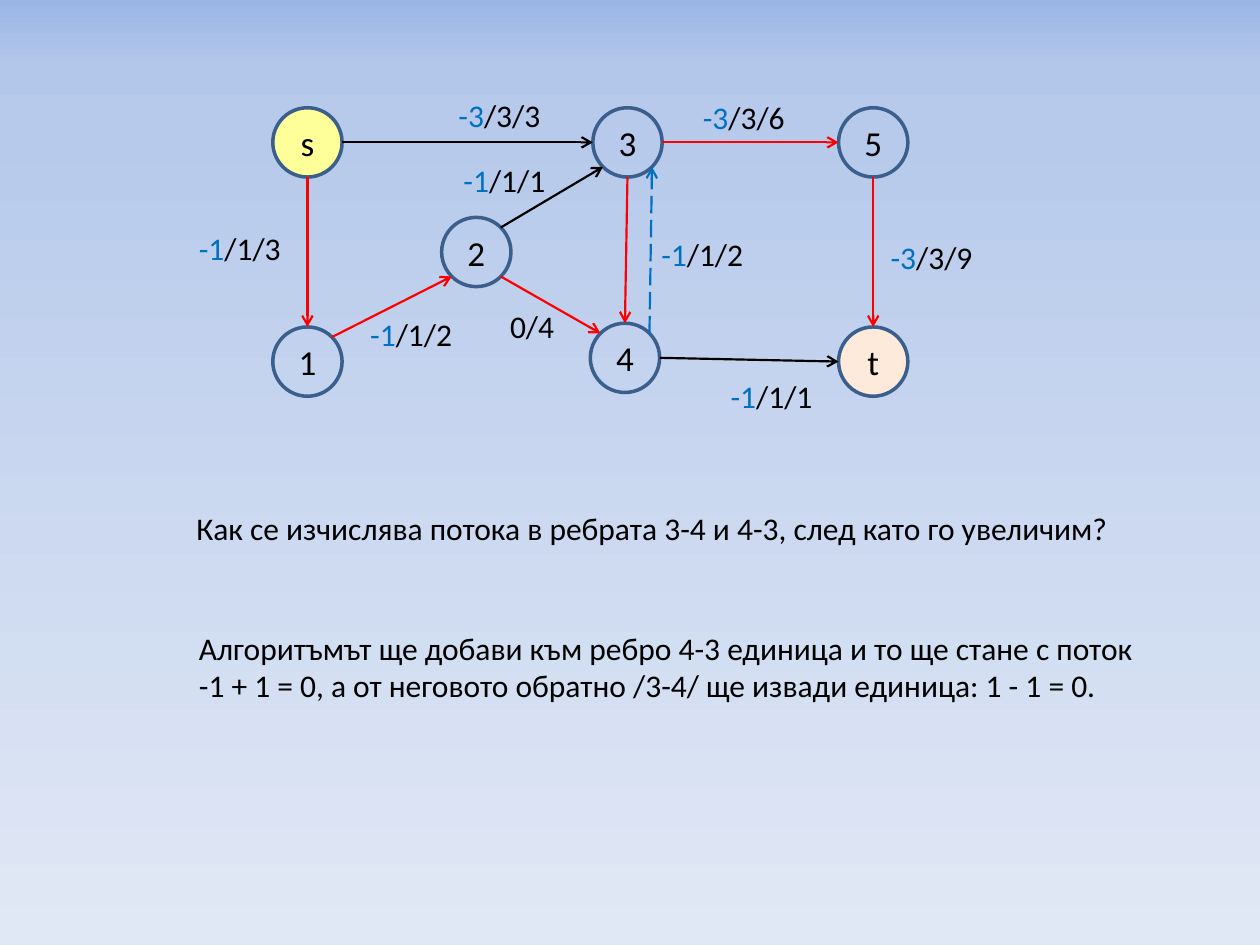
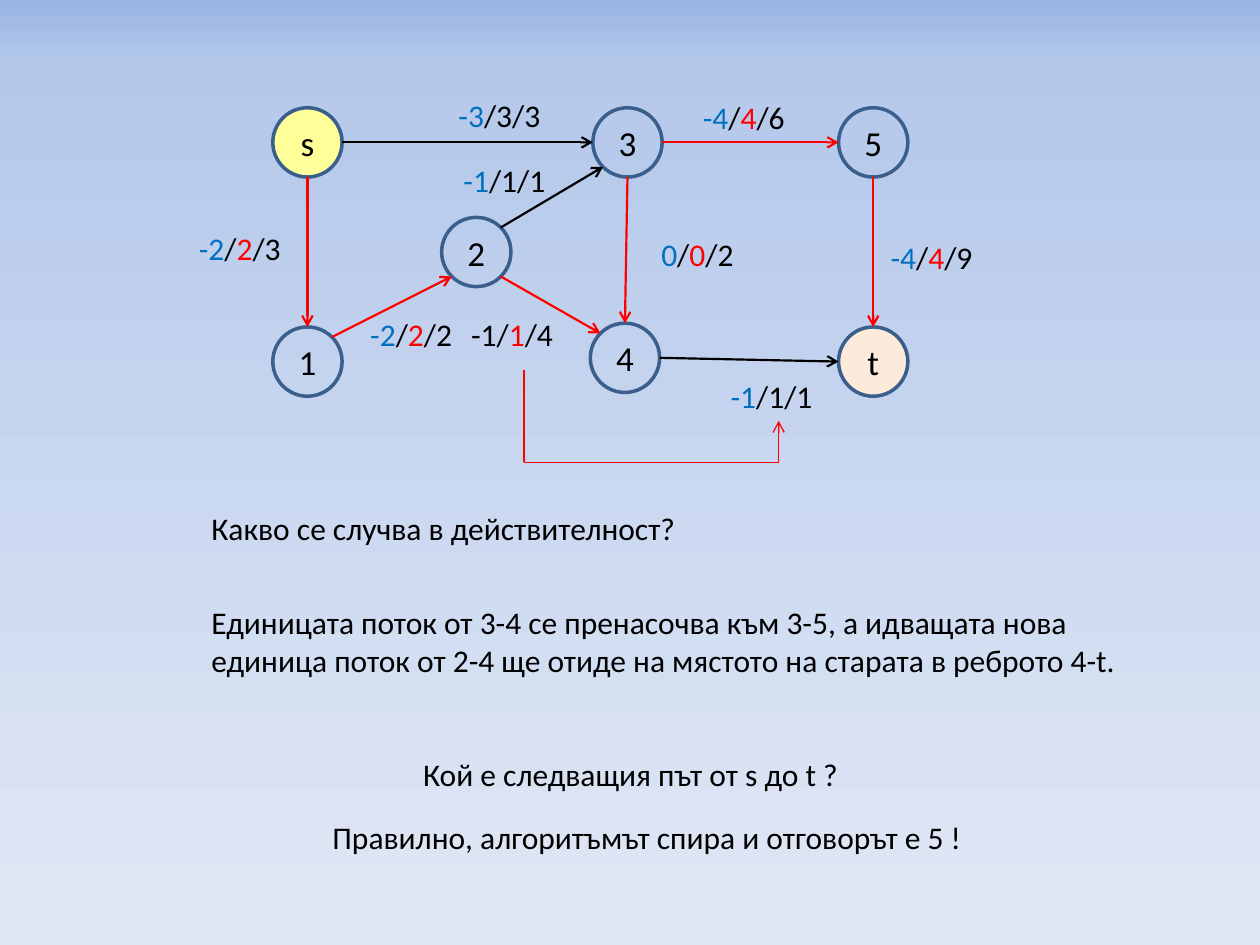
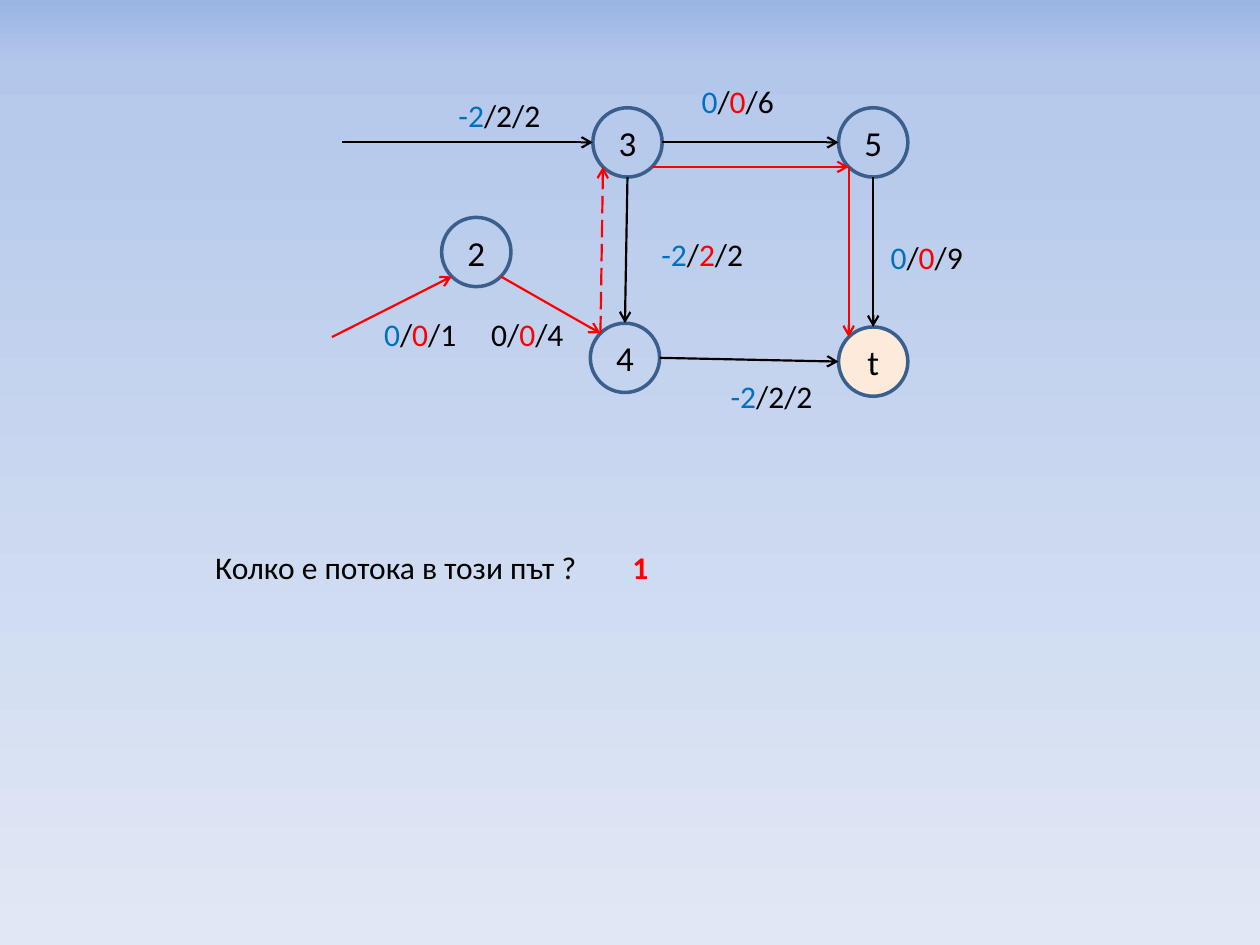
from dataclasses import dataclass
from itertools import pairwise
from math import sqrt

from lxml import etree
from pptx import Presentation
from pptx.dml.color import RGBColor
from pptx.enum.dml import MSO_LINE
from pptx.enum.shapes import MSO_CONNECTOR, MSO_SHAPE
from pptx.enum.text import MSO_ANCHOR, MSO_AUTO_SIZE, PP_ALIGN
from pptx.oxml.ns import qn
from pptx.util import Inches, Pt

STRAIGHT = MSO_CONNECTOR.STRAIGHT
ELLIPSE = MSO_SHAPE.OVAL
LONG_DASH = MSO_LINE.LONG_DASH
MIDDLE = MSO_ANCHOR.MIDDLE
CENTER = PP_ALIGN.CENTER
GROW = MSO_AUTO_SIZE.SHAPE_TO_FIT_TEXT
BLANK_LAYOUT = 6


@dataclass(frozen=True)
class Theme:
    font: str = "Calibri"
    node_size: int = 20
    text_size: int = 18
    ink: str = "000000"
    blue: str = "0070C0"
    red: str = "FF0000"
    ring: str = "3A5F8C"
    source: str = "FFFF99"
    sink: str = "FDEADA"
    ring_width: float = 2
    edge_width: float = 1.25
    thin_width: float = 0.75
    backdrop: tuple = ((0, "9AB5E4"), (7, "B3C7EA"), (13, "B7CAEB"), (100, "E1E8F5"))


THEME = Theme()

# Graph grid: columns and equally spaced rows of node centres
RADIUS = 0.275
DIAGONAL = RADIUS / sqrt(2)
COLUMNS = (2.44, 3.78, 4.97, 6.93)
TOP, MID, LOW = (1.13 + 0.87 * row for row in range(3))
NODES = {
    "s": (COLUMNS[0], TOP),
    "3": (COLUMNS[2] + 0.01, TOP),
    "1": (COLUMNS[0], LOW),
    "4": (COLUMNS[2] - 0.01, LOW - 0.03),
    "5": (COLUMNS[3], TOP),
    "t": (COLUMNS[3], LOW),
    "2": (COLUMNS[1], MID),
}
NODE_FILLS = {"s": THEME.source, "t": THEME.sink}
PORTS = {
    "N": (0, -RADIUS), "S": (0, RADIUS), "E": (RADIUS, 0), "W": (-RADIUS, 0),
    "NE": (DIAGONAL, -DIAGONAL), "NW": (-DIAGONAL, -DIAGONAL),
    "SE": (DIAGONAL, DIAGONAL), "SW": (-DIAGONAL, DIAGONAL),
}

# Side where each edge leaves and side where it arrives
EDGES = {
    "s3": ("E", "W"), "35": ("E", "W"), "5t": ("S", "N"),
    "23": ("NE", "SW"), "s1": ("S", "N"), "12": ("NE", "SW"),
    "24": ("SE", "NW"), "34": ("S", "N"), "4t": ("E", "W"),
}
AUGMENTING = ("s1", "12", "24", "34", "35", "5t")

# Left, top and width of the label of each edge
LABEL_SPOTS = {
    "s3": (3.54, 0.71, 1.08), "35": (5.48, 0.73, 1.03), "5t": (6.97, 1.84, 1.73),
    "34": (5.15, 1.82, 0.93), "4t": (5.7, 2.94, 0.95), "12": (2.84, 2.45, 1.06),
    "s1": (1.48, 1.77, 1.26), "23": (3.58, 1.23, 1.04), "24": (3.64, 2.45, 1.04),
}
LINE_HEIGHT = 0.4
TWO_LINES = 0.71


def color(value):
    return RGBColor.from_string(value)


def add_run(para, text, size, ink=THEME.ink, bold=False):
    span = para.add_run()
    span.text = text
    span.font.name = THEME.font
    span.font.size = Pt(size)
    span.font.color.rgb = color(ink)
    if bold:
        span.font.bold = True


def add_text(canvas, spot, runs, height=LINE_HEIGHT, wrap=True):
    """Text box at (left, top, width); each run is (text, colour[, bold])."""
    left, top, width = map(Inches, spot)
    frame = canvas.add_textbox(left, top, width, Inches(height)).text_frame
    frame.word_wrap = wrap
    frame.auto_size = GROW
    for text, *style in runs:
        add_run(frame.paragraphs[0], text, THEME.text_size, *style)


def add_node(canvas, name):
    x, y = NODES[name]
    side = Inches(2 * RADIUS)
    node = canvas.add_shape(ELLIPSE, Inches(x - RADIUS), Inches(y - RADIUS), side, side)
    node.shadow.inherit = False
    if name in NODE_FILLS:
        node.fill.solid()
        node.fill.fore_color.rgb = color(NODE_FILLS[name])
    else:
        node.fill.background()
    node.line.color.rgb = color(THEME.ring)
    node.line.width = Pt(THEME.ring_width)
    node.text_frame.vertical_anchor = MIDDLE
    para = node.text_frame.paragraphs[0]
    para.alignment = CENTER
    add_run(para, name, THEME.node_size)


def add_line(canvas, start, end, ink, width=THEME.edge_width, dashed=False, arrow=True):
    line = canvas.add_connector(STRAIGHT, *map(Inches, (*start, *end)))
    line.line.color.rgb = color(ink)
    line.line.width = Pt(width)
    if dashed:
        line.line.dash_style = LONG_DASH
    properties = line._element.spPr
    if arrow:
        etree.SubElement(properties.find(qn("a:ln")), qn("a:tailEnd"), type="arrow")
    etree.SubElement(properties, qn("a:effectLst"))


def port(name, side):
    return tuple(centre + shift for centre, shift in zip(NODES[name], PORTS[side]))


def add_edge(canvas, edge, ink, sides=None, dashed=False):
    leave, arrive = sides or EDGES[edge]
    add_line(canvas, port(edge[0], leave), port(edge[1], arrive), ink, dashed=dashed)


def add_graph(canvas, nodes, edges, red_edges):
    for name in nodes:
        add_node(canvas, name)
    for edge in edges:
        add_edge(canvas, edge, THEME.red if edge in red_edges else THEME.ink)


def add_labels(canvas, labels, changed=(), spots=None):
    """Labels read back flow/flow/capacity; a changed flow is red."""
    spots = LABEL_SPOTS | (spots or {})
    for edge, label in labels.items():
        back, flow, capacity = label.split("/")
        first = THEME.ink if edge == "24" else THEME.blue
        if edge in changed:
            runs = [(back, first), ("/",), (flow, THEME.red), ("/" + capacity,)]
        else:
            runs = [(back, first), (f"/{flow}/{capacity}",)]
        add_text(canvas, spots[edge], runs)


def paint_backdrop(master):
    fill = master.background.fill
    fill.gradient()
    fill.gradient_angle = 270
    stops = master._element.find(".//" + qn("a:gsLst"))
    for stop in list(stops):
        stops.remove(stop)
    for share, value in THEME.backdrop:
        stop = etree.SubElement(stops, qn("a:gs"), pos=str(share * 1000))
        etree.SubElement(stop, qn("a:srgbClr"), val=value)


def build_reverse_edge(page):
    canvas = page.shapes
    add_graph(canvas, NODES, EDGES, AUGMENTING)
    add_labels(canvas, {
        "s3": "-3/3/3", "35": "-3/3/6", "5t": "-3/3/9", "34": "-1/1/2",
        "4t": "-1/1/1", "12": "-1/1/2", "s1": "-1/1/3", "23": "-1/1/1",
    })
    add_text(canvas, (3.95, 2.39, 0.73), [("0/4",)])
    add_edge(canvas, "43", THEME.blue, ("NE", "SE"), dashed=True)
    # Question and answer
    add_text(canvas, (1.46, 3.99, 8.03), [
        ("Как се изчислява потока в ребрата 3-4 и 4-3, след като го увеличим?",)])
    add_text(canvas, (1.48, 4.94, 7.75), [
        ("Алгоритъмът ще добави към ребро 4-3 единица и то ще стане с поток "
         "-1 + 1 = 0, а от неговото обратно /3-4/ ще извади единица: 1 - 1 = 0.",)],
        TWO_LINES)


def build_redirected_flow(page):
    graph = page.shapes.add_group_shape().shapes
    add_graph(graph, NODES, EDGES, AUGMENTING)
    add_labels(graph, {
        "s3": "-3/3/3", "35": "-4/4/6", "5t": "-4/4/9", "34": "0/0/2", "4t": "-1/1/1",
        "12": "-2/2/2", "s1": "-2/2/3", "23": "-1/1/1", "24": "-1/1/4",
    }, changed=AUGMENTING)
    # Bent pointer from the new unit of flow to the edge that takes it
    bends = [(4.16, 2.94), (4.16, 3.67), (6.18, 3.67), (6.18, 3.34)]
    for start, end in pairwise(bends):
        add_line(graph, start, end, THEME.red, THEME.thin_width, arrow=end == bends[-1])
    # Explanation
    canvas = page.shapes
    add_text(canvas, (1.58, 3.99, 7.75), [("Какво се случва в действителност?",)])
    add_text(canvas, (1.58, 4.74, 7.87), [
        ("Единицата поток от 3-4 се пренасочва към 3-5, а идващата нова "
         "единица поток от 2-4 ще отиде на мястото на старата в реброто 4-t.",)],
        TWO_LINES)
    add_text(canvas, (3.26, 5.94, 3.53), [("Кой е следващия път от s до t ?",)], wrap=False)
    add_text(canvas, (2.54, 6.44, 5.25),
             [("Правилно, алгоритъмът спира и отговорът е 5 !",)], wrap=False)


def build_path_question(page):
    canvas = page.shapes
    edges = [edge for edge in EDGES if edge not in ("23", "s1")]
    add_graph(canvas, "345t2", edges, ("12", "24"))
    add_labels(canvas, {
        "s3": "-2/2/2", "35": "0/0/6", "5t": "0/0/9", "34": "-2/2/2",
        "4t": "-2/2/2", "12": "0/0/1", "24": "0/0/4",
    }, changed=AUGMENTING, spots={
        "35": (5.47, 0.6, 1.03), "12": (2.95, 2.45, 0.82), "24": (3.8, 2.45, 0.88),
    })
    # Rest of the path, beside the graph's own edges
    add_edge(canvas, "43", THEME.red, ("NW", "SW"), dashed=True)
    add_edge(canvas, "35", THEME.red, ("SE", "SW"))
    add_edge(canvas, "5t", THEME.red, ("SW", "NW"))
    # Question and answer
    add_text(canvas, (1.61, 4.3, 3.16), [("Колко е потока в този път ?",)], wrap=False)
    add_text(canvas, (4.92, 4.3, 0.36), [("1", THEME.red, True)])


def main():
    deck = Presentation()
    deck.slide_width, deck.slide_height = Inches(10), Inches(7.5)
    paint_backdrop(deck.slide_master)
    for build in (build_reverse_edge, build_redirected_flow, build_path_question):
        build(deck.slides.add_slide(deck.slide_layouts[BLANK_LAYOUT]))
    deck.save("out.pptx")


main()
